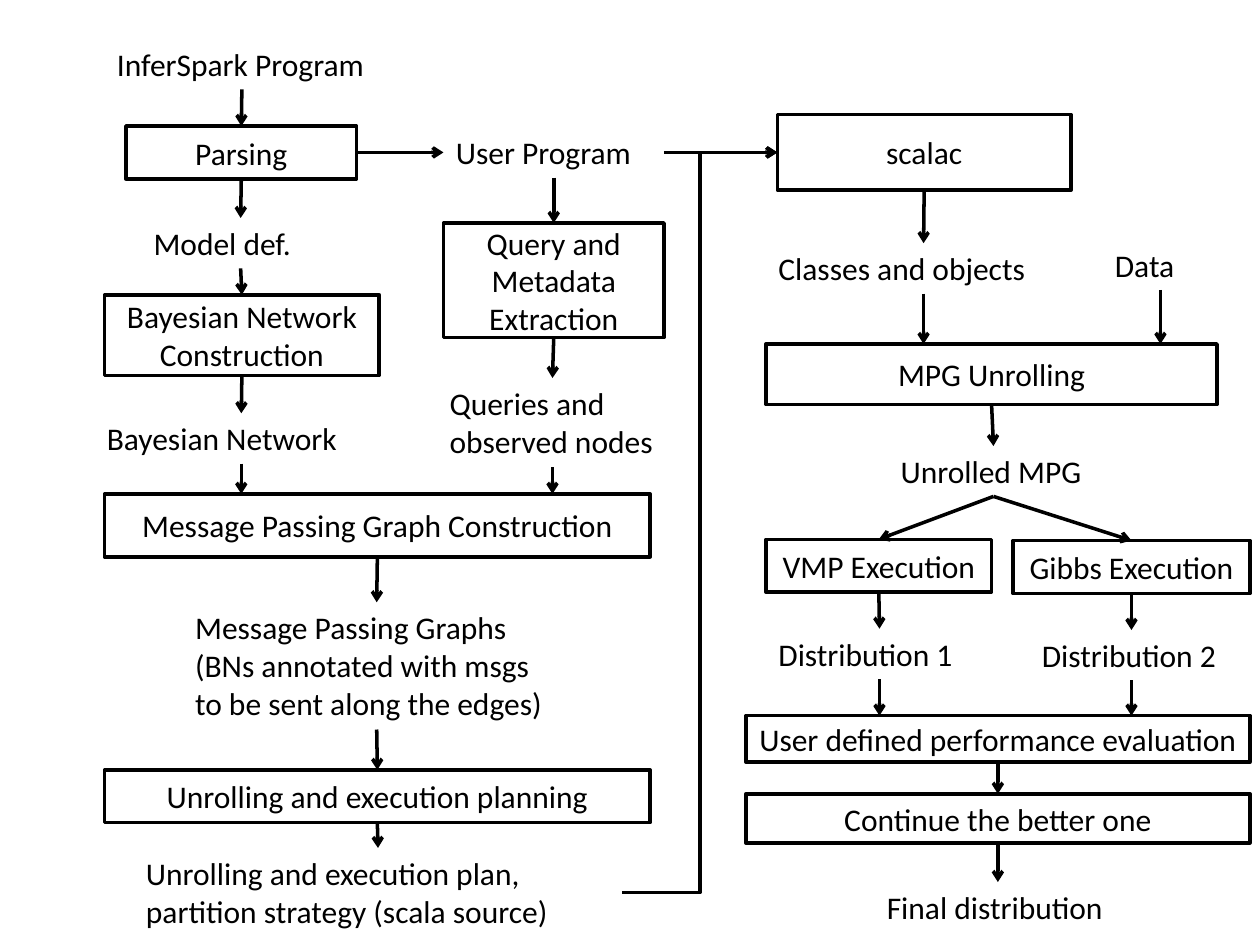
from lxml import etree
from pptx import Presentation
from pptx.dml.color import RGBColor
from pptx.enum.shapes import MSO_CONNECTOR, MSO_SHAPE
from pptx.enum.text import MSO_ANCHOR, MSO_AUTO_SIZE, PP_ALIGN
from pptx.oxml.ns import qn
from pptx.util import Inches, Pt

RECTANGLE = MSO_SHAPE.RECTANGLE
STRAIGHT, ELBOW = MSO_CONNECTOR.STRAIGHT, MSO_CONNECTOR.ELBOW
MIDDLE, CENTER, LEFT_ALIGNED = MSO_ANCHOR.MIDDLE, PP_ALIGN.CENTER, PP_ALIGN.LEFT
FIT_SHAPE = MSO_AUTO_SIZE.SHAPE_TO_FIT_TEXT
TOP, LEFT, BOTTOM, RIGHT = range(4)
COLUMNS, ROWS = 100, 75

presentation = Presentation()
presentation.slide_width, presentation.slide_height = Inches(10), Inches(7.5)
slide = presentation.slides.add_slide(presentation.slide_layouts[6])
column = presentation.slide_width / COLUMNS
row = presentation.slide_height / ROWS


def color(hex_string):
    return RGBColor.from_string(hex_string)


def side_middle(shape, side):
    x = shape.left + {LEFT: 0, RIGHT: shape.width}.get(side, shape.width // 2)
    y = shape.top + {TOP: 0, BOTTOM: shape.height}.get(side, shape.height // 2)
    return x, y


# Processing steps (boxed) and the data between them (plain text):
# name, text, left column, top row, columns, rows
steps = [
    ("parsing", "Parsing", 10, 10, 18.3, 4.2),
    ("network step", "Bayesian Network Construction", 8.3, 23.4, 21.8, 6.4),
    ("query step", "Query and Metadata Extraction", 35.2, 17.7, 17.5, 9.1),
    ("graph step", "Message Passing Graph Construction", 8.3, 39.2, 43.3, 5),
    ("planning", "Unrolling and execution planning", 8.3, 61.1, 43.3, 4.2),
    ("compiler", "scalac", 61.7, 9.1, 23.3, 6),
    ("unrolling", "MPG Unrolling", 60.8, 27.3, 35.8, 4.8),
    ("vmp", "VMP Execution", 60.8, 42.8, 17.9, 4.2),
    ("gibbs", "Gibbs Execution", 80.4, 42.9, 18.8, 4.2),
    ("evaluation", "User defined performance evaluation", 59.2, 56.8, 40, 3.7),
    ("better", "Continue the better one", 59.2, 63, 40, 3.9),
]
data = [
    ("program", "InferSpark Program", 8.3, 3.1, 21.8, 4),
    ("user program", "User Program", 35.2, 10.1, 17.5, 4),
    ("model", "Model def.", 11.2, 17.3, 15.8, 4),
    ("network", "Bayesian Network", 7.5, 32.8, 23.3, 4),
    ("queries", "Queries and observed nodes", 34.7, 30, 18.3, 7.1),
    ("graphs", "Message Passing Graphs (BNs annotated with msgs "
     "to be sent along the edges)", 14.5, 47.8, 30.8, 10.1),
    ("plan", "Unrolling and execution plan, partition strategy (scala source)",
     10.6, 67.3, 38.8, 7.1),
    ("classes", "Classes and objects", 60.8, 19.3, 25, 4),
    ("input", "Data", 87.5, 19, 9.2, 4),
    ("unrolled", "Unrolled MPG", 70.5, 35.4, 16.7, 4),
    ("distribution 1", "Distribution 1", 60.8, 49.9, 18, 4),
    ("distribution 2", "Distribution 2", 81.7, 50, 16.2, 4),
    ("final", "Final distribution", 69.4, 70, 19.6, 4),
]
nodes = {}
for boxed, entries in ((True, steps), (False, data)):
    for name, text, left, top, width, height in entries:
        place = [round(length) for length in
                 (left * column, top * row, width * column, height * row)]
        if boxed:
            shape = slide.shapes.add_shape(RECTANGLE, *place)
            shape.shadow.inherit = False
            shape.fill.solid()
            shape.fill.fore_color.rgb = color("FFFFFF")
            shape.line.color.rgb = color("000000")
            shape.line.width = Pt(2)
            shape.text_frame.vertical_anchor = MIDDLE
        else:
            shape = slide.shapes.add_textbox(*place)
            shape.text_frame.auto_size = FIT_SHAPE
        shape.text_frame.word_wrap = name != "program"
        paragraph = shape.text_frame.paragraphs[0]
        paragraph.alignment = CENTER if boxed else LEFT_ALIGNED
        run = paragraph.add_run()
        run.text = text
        run.font.name, run.font.size = "Calibri", Pt(18)
        run.font.color.rgb = color("000000")
        nodes[name] = shape

# Arrows: without an end side, the arrow drops straight onto the box below
arrows = [
    ("program", BOTTOM, "parsing", TOP),
    ("parsing", RIGHT, "user program", LEFT),
    ("parsing", BOTTOM, "model", TOP),
    ("model", BOTTOM, "network step", TOP),
    ("network step", BOTTOM, "network", TOP),
    ("network", BOTTOM, "graph step", None),
    ("user program", BOTTOM, "query step", TOP),
    ("query step", BOTTOM, "queries", TOP),
    ("queries", BOTTOM, "graph step", None),
    ("graph step", BOTTOM, "graphs", TOP),
    ("graphs", BOTTOM, "planning", TOP),
    ("planning", BOTTOM, "plan", TOP),
    ("user program", RIGHT, "compiler", LEFT),
    ("plan", RIGHT, "compiler", LEFT),
    ("compiler", BOTTOM, "classes", TOP),
    ("classes", BOTTOM, "unrolling", None),
    ("input", BOTTOM, "unrolling", None),
    ("unrolling", BOTTOM, "unrolled", TOP),
    ("unrolled", BOTTOM, "vmp", TOP),
    ("unrolled", BOTTOM, "gibbs", TOP),
    ("vmp", BOTTOM, "distribution 1", TOP),
    ("gibbs", BOTTOM, "distribution 2", TOP),
    ("distribution 1", BOTTOM, "evaluation", None),
    ("distribution 2", BOTTOM, "evaluation", None),
    ("evaluation", BOTTOM, "better", TOP),
    ("better", BOTTOM, "final", TOP),
]
for source, source_side, target, target_side in arrows:
    start, end = nodes[source], nodes[target]
    begin_point = side_middle(start, source_side)
    if target_side is None:
        end_point = begin_point[0], end.top
    else:
        end_point = side_middle(end, target_side)
    kind = ELBOW if source == "plan" else STRAIGHT
    connector = slide.shapes.add_connector(kind, *begin_point, *end_point)
    if kind == STRAIGHT:
        connector.begin_connect(start, source_side)
        if target_side is not None:
            connector.end_connect(end, target_side)
    connector.line.color.rgb = color("000000")
    connector.line.width = Pt(2)
    properties = connector._element.spPr
    line = properties.find(qn("a:ln"))
    etree.SubElement(line, qn("a:tailEnd")).set("type", "arrow")
    etree.SubElement(properties, qn("a:effectLst"))

presentation.save("out.pptx")
